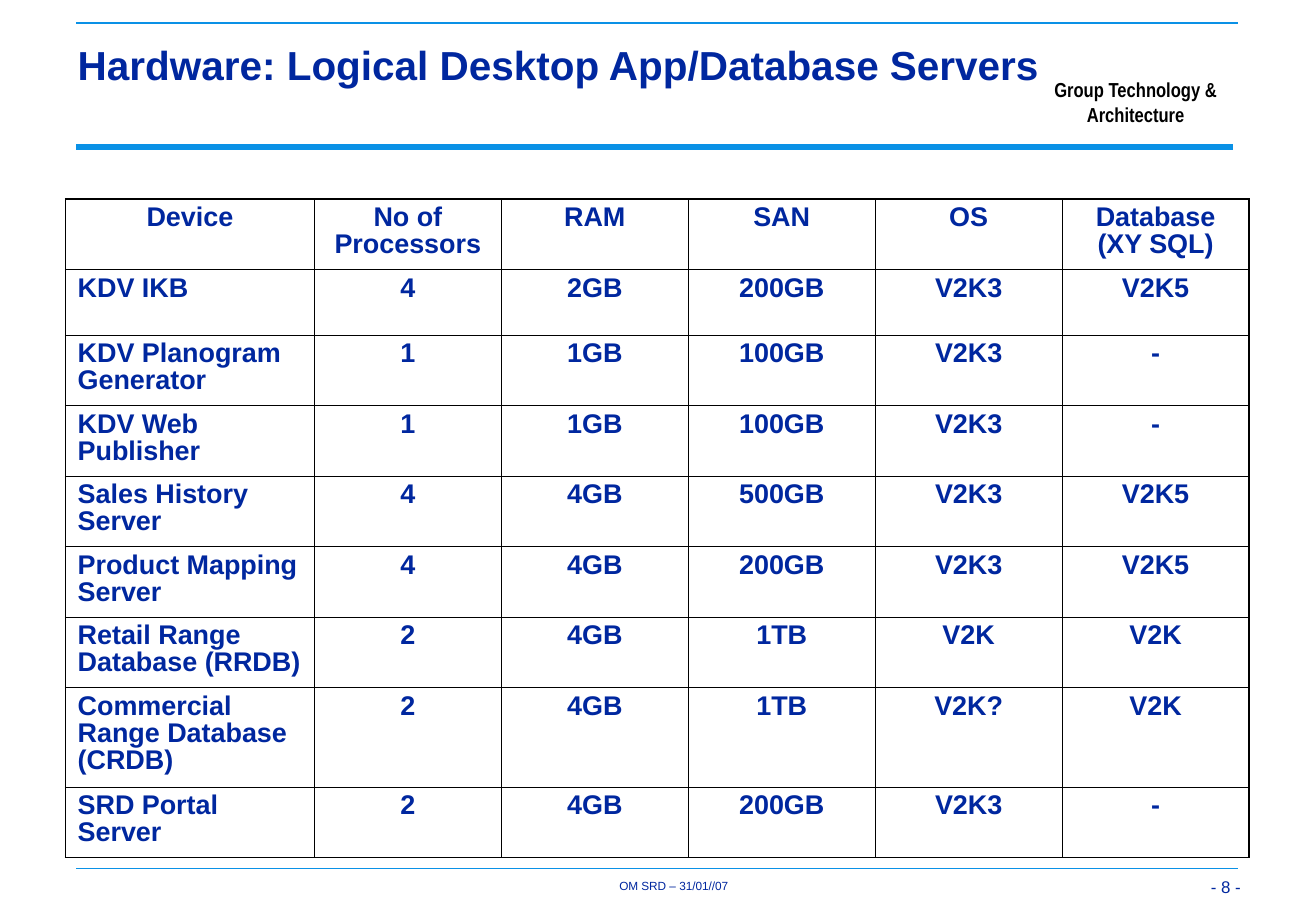
from pptx import Presentation
from pptx.dml.color import RGBColor
from pptx.enum.shapes import MSO_CONNECTOR as CONN
from pptx.enum.text import MSO_ANCHOR as ANCHOR, PP_ALIGN as ALIGN
from pptx.oxml.ns import qn
from pptx.util import Inches, Pt
from lxml.etree import SubElement

NAVY = RGBColor(0x00, 0x27, 0x9F)
SKY = RGBColor(0x0A, 0x91, 0xE6)
BLACK = RGBColor(0, 0, 0)

TITLE = "Hardware: Logical Desktop App/Database Servers"
SERVERS = [
    ("Device", "No of Processors", "RAM", "SAN", "OS", "Database (XY SQL)"),
    ("KDV IKB", "4", "2GB", "200GB", "V2K3", "V2K5"),
    ("KDV Planogram Generator", "1", "1GB", "100GB", "V2K3", "-"),
    ("KDV Web Publisher", "1", "1GB", "100GB", "V2K3", "-"),
    ("Sales History Server", "4", "4GB", "500GB", "V2K3", "V2K5"),
    ("Product Mapping Server", "4", "4GB", "200GB", "V2K3", "V2K5"),
    ("Retail Range Database (RRDB)", "2", "4GB", "1TB", "V2K", "V2K"),
    ("Commercial Range Database (CRDB)", "2", "4GB", "1TB", "V2K?", "V2K"),
    ("SRD Portal Server", "2", "4GB", "200GB", "V2K3", "-"),
]
COL_WIDTHS = [2.05] + [1.54] * 5
ROW_HEIGHTS = [0.58, 0.54] + [0.58] * 5 + [0.82, 0.58]
RULE_LEFT = 0.63
RULES = [(0.19, 10.2, 1), (1.21, 10.16, 4), (7.15, 10.2, 1)]
LABELS = [
    (["- 8 -"], (9.69, 7.02, 0.6, 0.39), (0.07, 0.03), 10, "Arial", NAVY,
     False, ALIGN.RIGHT, ANCHOR.BOTTOM, 1, True),
    (["OM SRD – 31/01//07"], (5.1, 7.25, 0.9, 0.11), (0, 0), 7, "Arial", NAVY,
     False, ALIGN.CENTER, ANCHOR.TOP, 0.9, False),
    (["Group Technology &", "Architecture"], (8.58, 0.59, 1.55, 0.5), (0.1, 0.05),
     12, "Arial Narrow", BLACK, True, ALIGN.CENTER, ANCHOR.MIDDLE, 1, False),
]
THIN, THICK = 0.45, 1.08


def style(p, size, font, color, bold, align, spacing):
    p.alignment = align
    p.line_spacing = spacing
    p.space_before = Pt(0)
    p.font.size = Pt(size)
    p.font.name = font
    p.font.bold = bold
    p.font.color.rgb = color


def set_insets(frame, x, y):
    frame.margin_left = frame.margin_right = Inches(x)
    frame.margin_top = frame.margin_bottom = Inches(y)


def place(sp, box):
    sp.left, sp.top, sp.width, sp.height = map(Inches, box)


def add_title(slide):
    sp = slide.shapes.title
    place(sp, (0.54, 0.3, 9.75, 1.25))
    tf = sp.text_frame
    tf.text = TITLE
    tf.word_wrap = True
    tf.vertical_anchor = ANCHOR.TOP
    set_insets(tf, 0.1, 0.05)
    style(tf.paragraphs[0], 24, "Arial", NAVY, True, ALIGN.LEFT, 0.97)


def add_rule(slide, y, right, weight):
    line = slide.shapes.add_connector(
        CONN.STRAIGHT, *map(Inches, (RULE_LEFT, y, right, y)))
    line.line.color.rgb = SKY
    line.line.width = Pt(weight)
    SubElement(line._element.spPr, qn("a:effectLst"))


def add_label(slide, lines, box, insets, size, font, color, bold, align, anchor,
              spacing, wrap):
    tf = slide.shapes.add_textbox(*map(Inches, box)).text_frame
    tf.text = "\n".join(lines)
    tf.word_wrap = wrap
    tf.vertical_anchor = anchor
    set_insets(tf, *insets)
    for p in tf.paragraphs:
        style(p, size, font, color, bold, align, spacing)


def set_borders(cell, outer):
    tc_pr = cell._tc.get_or_add_tcPr()
    for side in "LRTB":
        weight = THICK if side in outer else THIN
        ln = SubElement(tc_pr, qn("a:ln" + side), w=str(Pt(weight)))
        fill = SubElement(ln, qn("a:solidFill"))
        SubElement(fill, qn("a:srgbClr"), val=str(BLACK))


def add_server_table(slide):
    n_rows, n_cols = len(SERVERS), len(COL_WIDTHS)
    box = (0.54, 1.64, sum(COL_WIDTHS), sum(ROW_HEIGHTS))
    table = slide.shapes.add_table(n_rows, n_cols, *map(Inches, box)).table
    table.first_row = table.horz_banding = False
    for col, width in zip(table.columns, COL_WIDTHS):
        col.width = Inches(width)
    for i, (row, height) in enumerate(zip(table.rows, ROW_HEIGHTS)):
        row.height = Inches(height)
        for j, cell in enumerate(row.cells):
            edges = {"L": j == 0, "R": j == n_cols - 1,
                     "T": i == 0, "B": i == n_rows - 1}
            set_borders(cell, [side for side, on in edges.items() if on])
            cell.fill.background()
            cell.text = SERVERS[i][j]
            set_insets(cell, 0.1, 0.05)
            align = ALIGN.LEFT if i and not j else ALIGN.CENTER
            style(cell.text_frame.paragraphs[0], 16, "Arial", NAVY, True, align, 0.9)


def main():
    prs = Presentation()
    prs.slide_width, prs.slide_height = Inches(10.84), Inches(7.5)
    slide = prs.slides.add_slide(prs.slide_layouts[5])
    for rule in RULES:
        add_rule(slide, *rule)
    for label in LABELS:
        add_label(slide, *label)
    add_title(slide)
    add_server_table(slide)
    prs.save("out.pptx")


if __name__ == "__main__":
    main()
